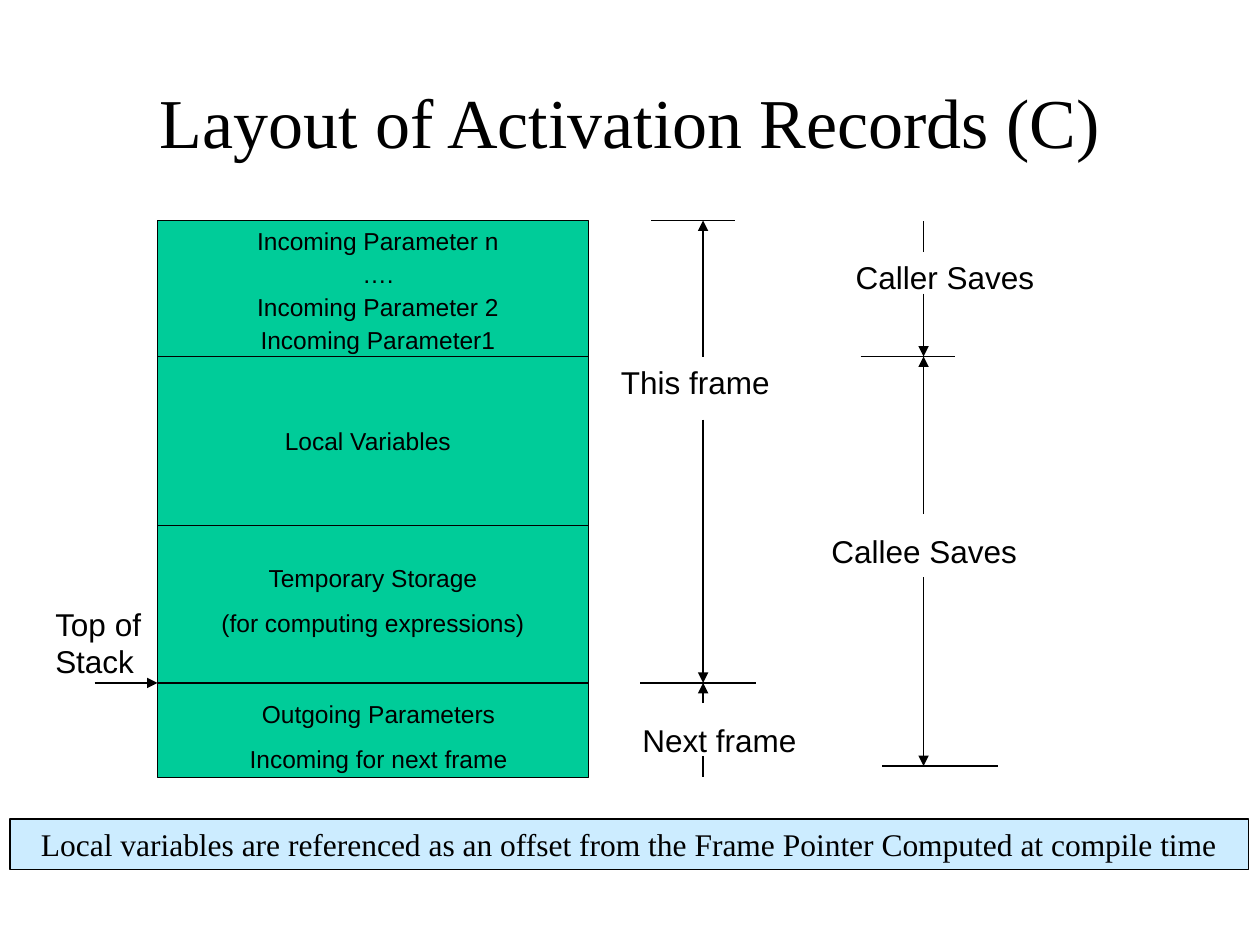
from dataclasses import dataclass

from lxml import etree
from pptx import Presentation
from pptx.dml.color import RGBColor
from pptx.enum.shapes import MSO_CONNECTOR, MSO_SHAPE
from pptx.enum.text import MSO_ANCHOR, MSO_AUTO_SIZE, PP_ALIGN
from pptx.oxml.ns import qn
from pptx.util import Inches, Pt

RECT = MSO_SHAPE.RECTANGLE
STRAIGHT = MSO_CONNECTOR.STRAIGHT
LEFT, CENTER = PP_ALIGN.LEFT, PP_ALIGN.CENTER
TOP, MIDDLE = MSO_ANCHOR.TOP, MSO_ANCHOR.MIDDLE
GROW, FIXED = MSO_AUTO_SIZE.SHAPE_TO_FIT_TEXT, MSO_AUTO_SIZE.NONE


@dataclass(frozen=True)
class Theme:
    ink: RGBColor = RGBColor(0x00, 0x00, 0x00)
    stack: RGBColor = RGBColor(0x00, 0xCC, 0x99)
    note: RGBColor = RGBColor(0xCC, 0xEC, 0xFF)
    serif: str = "Times New Roman"
    sans: str = "Arial"
    title: int = 40
    label: int = 18
    section: int = 14
    rule: float = 0.75


class Painter:
    """Draws styled elements on the current slide."""

    def __init__(self, slide, theme):
        self.slide = slide
        self.theme = theme

    def set_text(self, s, lines, size, font, align=CENTER, anchor=TOP, fit=GROW,
                 wrap=True, before=0, spacing=1.0):
        tf = s.text_frame
        frame = {"word_wrap": wrap, "auto_size": fit, "vertical_anchor": anchor}
        for name, value in frame.items():
            setattr(tf, name, value)
        para = {"alignment": align, "space_before": Pt(before),
                "line_spacing": spacing}
        for i, line in enumerate(lines):
            p = tf.paragraphs[0] if i == 0 else tf.add_paragraph()
            for name, value in para.items():
                setattr(p, name, value)
            r = p.add_run()
            r.text = line
            for name, value in {"name": font, "size": Pt(size)}.items():
                setattr(r.font, name, value)
            r.font.color.rgb = self.theme.ink

    def text(self, box, lines, size, font, **style):
        s = self.slide.shapes.add_textbox(*map(Inches, box))
        self.set_text(s, lines, size, font, **style)

    def rect(self, box, fill):
        s = self.slide.shapes.add_shape(RECT, *map(Inches, box))
        s.shadow.inherit = False
        s.fill.solid()
        s.fill.fore_color.rgb = fill
        s.line.color.rgb = self.theme.ink
        s.line.width = Pt(self.theme.rule)
        return s

    def line(self, x1, y1, x2, y2, arrow=False):
        s = self.slide.shapes.add_connector(
            STRAIGHT, *map(Inches, (x1, y1, x2, y2)))
        s.line.color.rgb = self.theme.ink
        s.line.width = Pt(self.theme.rule)
        props = s.element.spPr
        if arrow:
            etree.SubElement(props.find(qn("a:ln")), qn("a:tailEnd"),
                             type="triangle")
        etree.SubElement(props, qn("a:effectLst"))


def main():
    prs = Presentation()
    prs.slide_width, prs.slide_height = Inches(10), Inches(7.5)
    theme = Theme()
    paint = Painter(prs.slides.add_slide(prs.slide_layouts[6]), theme)

    left, right = 1.25, 4.67
    top, params_end, locals_end, frame_end, bottom = 1.75, 2.83, 4.17, 5.42, 6.17
    frame_x, saves_x, saves_end = 5.58, 7.33, 6.08

    paint.rect((left, top, right - left, bottom - top), theme.stack)
    for y in (params_end, locals_end, frame_end):
        paint.line(left, y, right, y)

    paint.text((0.75, 0.33, 8.5, 1.25), ["Layout of Activation Records (C)"],
               theme.title, theme.serif, anchor=MIDDLE, fit=FIXED)

    sections = [
        ((1.25, 1.83, 3.5, 1.03), 0.6,
         ["Incoming Parameter n", "….", "Incoming Parameter 2",
          "Incoming Parameter1"]),
        ((1.42, 3.33, 3, 0.34), 1.0, ["Local Variables"]),
        ((1.5, 4.42, 2.92, 0.69), 1.0,
         ["Temporary Storage", "(for computing expressions)"]),
        ((1.42, 5.5, 3.17, 0.69), 1.0,
         ["Outgoing Parameters", "Incoming for next frame"]),
    ]
    for box, spacing, lines in sections:
        paint.text(box, lines, theme.section, theme.sans,
                   before=8.8, spacing=spacing)

    paint.text((0.34, 4.75, 0.91, 0.7), ["Top of", "Stack"], theme.label,
               theme.sans, align=LEFT, wrap=False)
    paint.line(0.75, frame_end, left, frame_end, arrow=True)

    limits = [(5.17, 5.83, top), (5.08, 6, frame_end),
              (6.83, 7.58, params_end), (7, 7.92, saves_end)]
    for x1, x2, y in limits:
        paint.line(x1, y, x2, y)

    spans = [
        (frame_x, params_end, top, True),
        (frame_x, 3.33, frame_end, True),
        (frame_x, 5.58, frame_end, True),
        (frame_x, 6, bottom, False),
        (saves_x, 2, top, False),
        (saves_x, 2.33, params_end, True),
        (saves_x, 4.08, params_end, True),
        (saves_x, 4.58, saves_end, True),
    ]
    for x, start, end, arrow in spans:
        paint.line(x, start, x, end, arrow)

    labels = [
        (4.83, params_end, 1.58, "This frame", LEFT),
        (5, 5.67, 1.75, "Next frame", LEFT),
        (6.5, 2, 2, "Caller Saves", CENTER),
        (6.5, 4.17, 2.08, "Callee Saves", LEFT),
    ]
    for x, y, width, label, align in labels:
        paint.text((x, y, width, 0.4), [label], theme.label, theme.sans,
                   align=align, before=11.2)

    note = paint.rect((0.08, 6.5, 9.83, 0.4), theme.note)
    paint.set_text(note, ["Local variables are referenced as an offset from the "
                          "Frame Pointer Computed at compile time"],
                   theme.label, theme.serif)

    prs.save("out.pptx")


if __name__ == "__main__":
    main()
